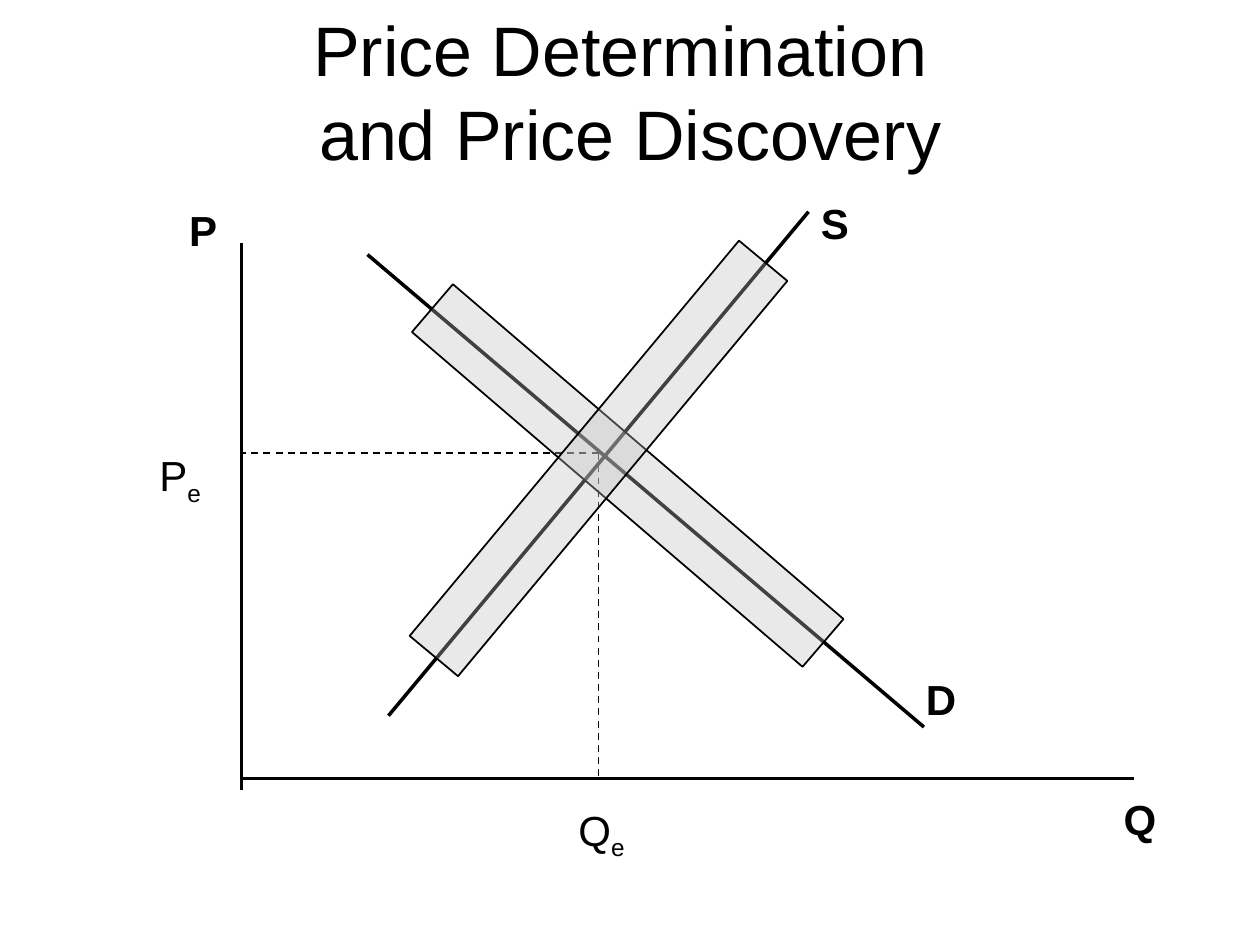
from lxml import etree
from pptx import Presentation
from pptx.dml.color import RGBColor
from pptx.enum.dml import MSO_LINE
from pptx.enum.shapes import MSO_CONNECTOR, MSO_SHAPE
from pptx.enum.text import MSO_ANCHOR, MSO_AUTO_SIZE, PP_ALIGN
from pptx.oxml.ns import qn
from pptx.util import Pt

BLACK = RGBColor(0x00, 0x00, 0x00)
GREY = RGBColor(0xC0, 0xC0, 0xC0)

ORIGIN_X, ORIGIN_Y = 138, 445
EQUILIBRIUM = (342, 259)
BAND_WIDTH, BAND_LENGTH = 36, 294


class Diagram:
    """Holds the slide and the shared style; all lengths are in points."""

    font_name = "Arial"
    title_size = 40
    label_size = 24

    def __init__(self, slide):
        self.slide = slide

    def style_font(self, font, size, bold=False):
        font.name = self.font_name
        font.size = Pt(size)
        font.bold = bold
        font.color.rgb = BLACK

    def title(self, text, left, top, width, height):
        title = self.slide.shapes.title
        title.left, title.top = Pt(left), Pt(top)
        title.width, title.height = Pt(width), Pt(height)
        frame = title.text_frame
        frame.text = text
        frame.auto_size = MSO_AUTO_SIZE.NONE
        frame.vertical_anchor = MSO_ANCHOR.BOTTOM
        heading = frame.paragraphs[0]
        heading.alignment = PP_ALIGN.CENTER
        self.style_font(heading.font, self.title_size)

    def line(self, start, end, weight=2, dash=None):
        line = self.slide.shapes.add_connector(
            MSO_CONNECTOR.STRAIGHT, *map(Pt, start + end))
        line.line.color.rgb = BLACK
        line.line.width = Pt(weight)
        if dash:
            line.line.dash_style = dash
        etree.SubElement(line._element.spPr, qn("a:effectLst"))

    def label(self, text, left, top, width, height=36, subscript="", wrap=False):
        box = self.slide.shapes.add_textbox(*map(Pt, (left, top, width, height)))
        frame = box.text_frame
        frame.word_wrap = wrap
        frame.auto_size = MSO_AUTO_SIZE.SHAPE_TO_FIT_TEXT
        paragraph = frame.paragraphs[0]
        paragraph.add_run().text = text
        self.style_font(paragraph.font, self.label_size, bold=not subscript)
        if subscript:
            lowered = paragraph.add_run()
            lowered.text = subscript
            lowered.font._element.set("baseline", "-25000")

    def band(self, left, top, rotation, opacity=34):
        """Draw a see-through strip around a curve."""
        band = self.slide.shapes.add_shape(
            MSO_SHAPE.RECTANGLE, Pt(left), Pt(top), Pt(BAND_WIDTH), Pt(BAND_LENGTH))
        band.rotation = rotation
        band.shadow.inherit = False
        band.fill.solid()
        band.fill.fore_color.rgb = GREY
        color = band._element.spPr.find(qn("a:solidFill")).find(qn("a:srgbClr"))
        etree.SubElement(color, qn("a:alpha"), val=str(opacity * 1000))
        band.line.color.rgb = BLACK
        band.line.width = Pt(1)


def main():
    deck = Presentation()
    deck.slide_width, deck.slide_height = Pt(720), Pt(540)
    diagram = Diagram(deck.slides.add_slide(deck.slide_layouts[5]))

    diagram.title("Price Determination \vand Price Discovery", 60, 6.5, 600, 97)

    # Axes, then the demand and supply curves
    diagram.line((ORIGIN_X, 139), (ORIGIN_X, 451.5))
    diagram.line((ORIGIN_X, ORIGIN_Y), (648, ORIGIN_Y))
    diagram.line((210, 145.5), (528, 415.5))
    diagram.line((462, 121), (222, 409))

    diagram.label("S", 462, 109.5, 72, wrap=True)
    diagram.label("D", 522, 381.5, 32)
    diagram.label("P", 101, 113.5, 37)
    diagram.label("Q", 635, 450, 33)

    for axis_point in ((ORIGIN_X, EQUILIBRIUM[1]), (EQUILIBRIUM[0], ORIGIN_Y)):
        diagram.line(EQUILIBRIUM, axis_point, weight=1, dash=MSO_LINE.DASH)
    diagram.label("P", 84, 253.5, 48, 40, subscript="e", wrap=True)
    diagram.label("Q", 323.5, 456, 41, 40, subscript="e")

    diagram.band(340.75, 124.75, 310.6)
    diagram.band(324, 115, 39.8)

    deck.save("out.pptx")


if __name__ == "__main__":
    main()
